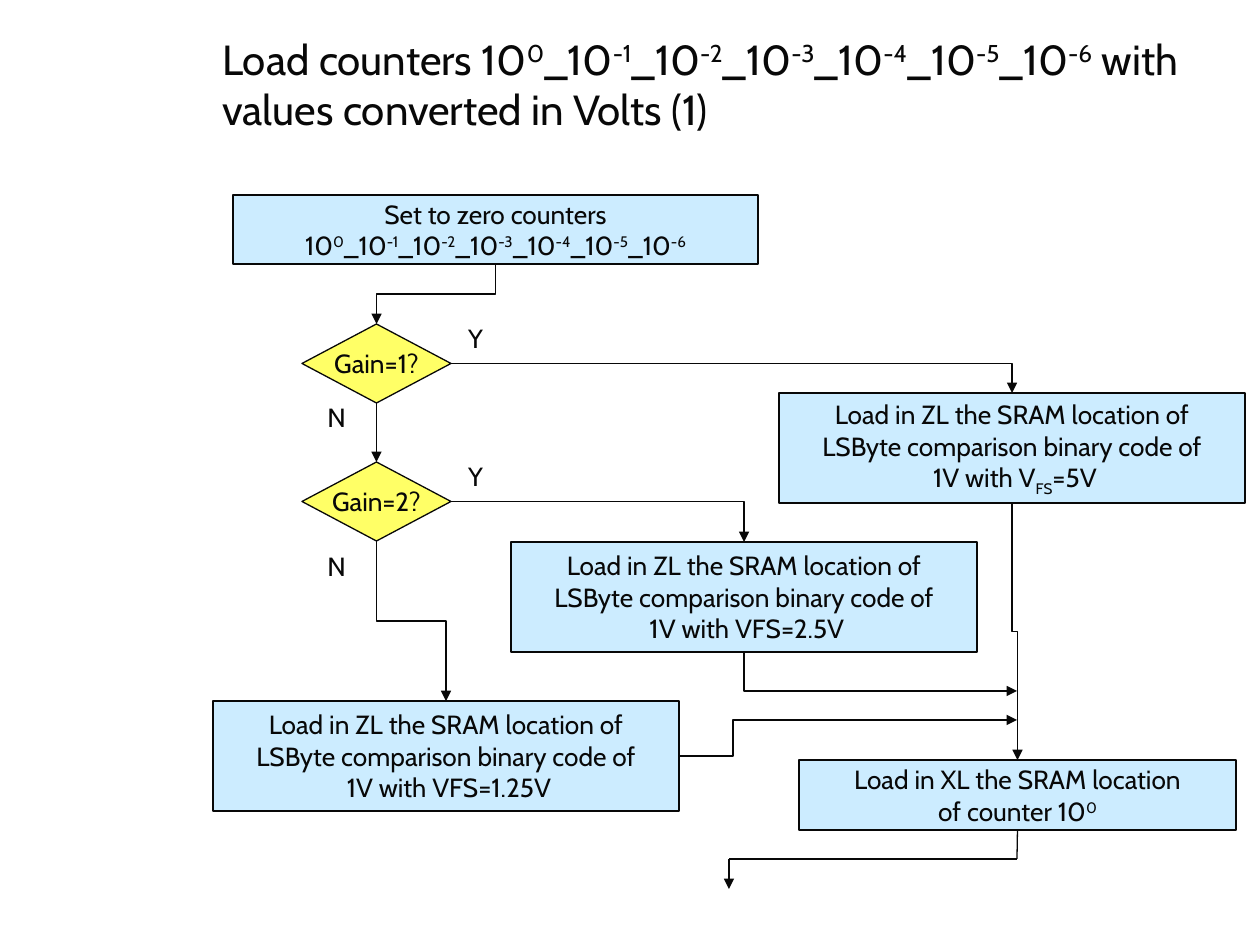
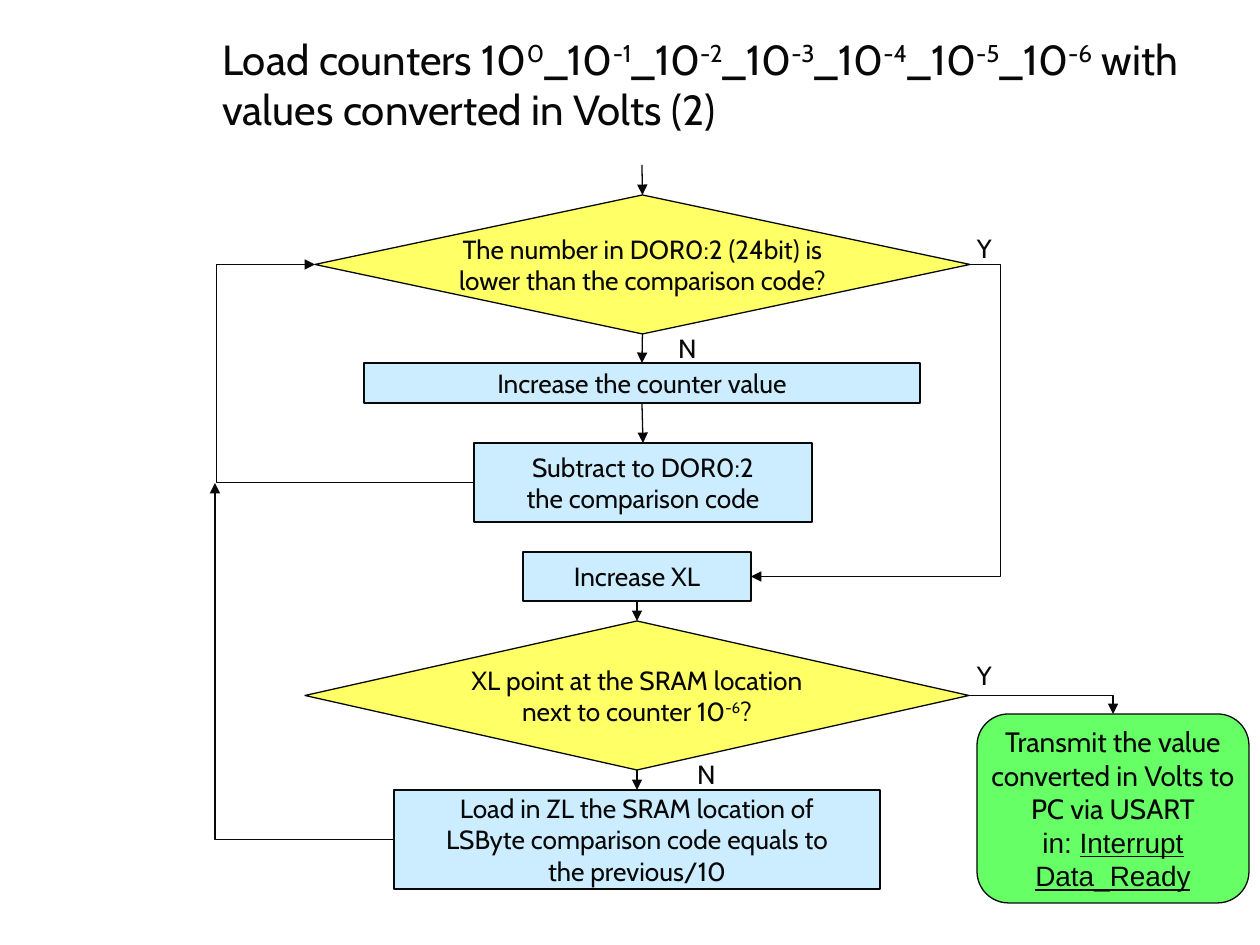
from lxml.etree import SubElement
from pptx import Presentation
from pptx.dml.color import RGBColor
from pptx.enum.shapes import MSO_CONNECTOR, MSO_SHAPE
from pptx.enum.text import MSO_ANCHOR, PP_ALIGN
from pptx.oxml.ns import qn
from pptx.util import Pt

SCALE = 914400 / 126
INK = "080808"
FONT = "Cabin"
POWERS = "10{^0}_10{^-1}_10{^-2}_10{^-3}_10{^-4}_10{^-5}_10{^-6}"
TITLE = "Load counters " + POWERS + " with values converted in Volts (%d)"
TITLE_BOX = (210, 10, 1017, 147)
LABEL = 49
CORNER = "corner"

# Run marks inside braces: ^ raised, ~ lowered, ! Arial, _ Arial underlined
BASE = {"^": "30000", "~": "-25000"}
KINDS = {
    "step": (MSO_SHAPE.FLOWCHART_PROCESS, "CCECFF", 15),
    "test": (MSO_SHAPE.FLOWCHART_DECISION, "FFFF66", 15),
    "exit": (MSO_SHAPE.FLOWCHART_ALTERNATE_PROCESS, "66FF66", 16),
}
# Side number: (share of width, share of height)
TOP, LEFT, BOTTOM, RIGHT = range(4)
SIDES = [(0.5, 0), (0, 0.5), (0.5, 1), (1, 0.5)]

LOAD = "Load in ZL the SRAM location of\nLSByte comparison binary code of\n 1V with "
WIDE = (466, 110)
GAIN = (149, 79)

# nodes: name -> kind, left, top, (width, height), text
# links: start, end, bend (None straight, CORNER, or place of the middle leg), arrow
SLIDES = [
    {
        "nodes": {
            "zero": ("step", 233, 195, (525, 69), "Set to zero counters\n" + POWERS),
            "gain1": ("test", 302, 324, GAIN, "Gain=1?"),
            "gain2": ("test", 302, 462, GAIN, "Gain=2?"),
            "five": ("step", 779, 393, WIDE, LOAD + "V{~FS}=5V"),
            "half": ("step", 511, 542, WIDE, LOAD + "VFS=2.5V"),
            "quart": ("step", 213, 701, WIDE, LOAD + "VFS=1.25V"),
            "count": ("step", 799, 760, (437, 70),
                      "Load in XL the SRAM location\nof counter 10{^0}"),
        },
        "links": [
            (("gain1", BOTTOM), ("gain2", TOP), None, True),
            (("zero", BOTTOM), ("gain1", TOP), 0.5, True),
            (("gain1", RIGHT), ("five", TOP), CORNER, True),
            (("gain2", RIGHT), ("half", TOP), CORNER, True),
            (("gain2", BOTTOM), ("quart", TOP), 0.5, True),
            (("five", BOTTOM), ("count", TOP), 0.5, True),
            (("half", BOTTOM), (1017, 691), CORNER, True),
            (("quart", RIGHT), (1017, 720), 0.16, True),
            (("count", BOTTOM), (1017, 859), None, False),
            ((1017, 859), (729, 859), None, False),
            ((729, 859), (729, 889), None, True),
        ],
        "labels": [("N", 312, 393), ("N", 312, 542), ("Y", 451, 314), ("Y", 451, 452)],
    },
    {
        "nodes": {
            "lower": ("test", 315, 195, (655, 139),
                      "The number in DOR0:2 (24bit) is\nlower than the comparison code?"),
            "add": ("step", 364, 363, (556, 40), "Increase the counter value"),
            "sub": ("step", 474, 443, (338, 79), "Subtract to DOR0:2\nthe comparison code"),
            "next": ("step", 523, 552, (228, 49), "Increase XL"),
            "last": ("test", 305, 621, (664, 149),
                     "XL point at the SRAM location\nnext to counter 10{^-6}?"),
            "prev": ("step", 394, 790, (486, 99),
                     "Load in ZL the SRAM location of\n"
                     "LSByte comparison code equals to\nthe previous/10"),
            "send": ("exit", 977, 714, (272, 189),
                     "Transmit the value\nconverted in Volts to\nPC via USART\n"
                     "{!in: }{_Interrupt}\n{_Data_Ready}"),
        },
        "links": [
            ((642, 165), ("lower", TOP), None, True),
            (("lower", BOTTOM), ("add", TOP), None, True),
            (("add", BOTTOM), ("sub", TOP), None, True),
            (("next", BOTTOM), ("last", TOP), None, True),
            (("last", BOTTOM), ("prev", TOP), None, True),
            (("sub", LEFT), ("lower", LEFT), 1.62, True),
            (("prev", LEFT), (215, 483), CORNER, True),
            (("lower", RIGHT), ("next", RIGHT), -0.14, True),
            (("last", RIGHT), ("send", TOP), CORNER, True),
        ],
        "labels": [("Y", 960, 651), ("N", 663, 324), ("N", 682, 750), ("Y", 960, 224)],
    },
]


def px(value):
    return round(value * SCALE)


def color(code):
    return RGBColor.from_string(code)


def split(line):
    """Yield (mark, text) for each run of a line."""
    head, *rest = line.split("{")
    runs = [("", head)]
    for piece in rest:
        body, tail = piece.split("}")
        runs += [(body[0], body[1:]), ("", tail)]
    return [run for run in runs if run[1]]


def write(shape, text, size=15, align=PP_ALIGN.CENTER, wrap=False):
    frame = shape.text_frame
    frame.word_wrap = wrap
    frame.vertical_anchor = MSO_ANCHOR.MIDDLE
    for num, line in enumerate(text.split("\n")):
        para = frame.add_paragraph() if num else frame.paragraphs[0]
        para.alignment = align
        for mark, words in split(line):
            run = para.add_run()
            run.text = words
            font = run.font
            font.name = "Arial" if mark in ("!", "_") else FONT
            font.size = Pt(size)
            font.color.rgb = color(INK)
            if mark == "_":
                font.underline = True
            if mark in BASE:
                run._r.get_or_add_rPr().set("baseline", BASE[mark])


def text_box(slide, text, box, **form):
    write(slide.shapes.add_textbox(*map(px, box)), text, **form)


def add_node(slide, kind, left, top, size, text):
    form, fill, points = KINDS[kind]
    shape = slide.shapes.add_shape(form, *map(px, (left, top, *size)))
    shape.shadow.inherit = False
    shape.fill.solid()
    shape.fill.fore_color.rgb = color(fill)
    shape.line.color.rgb = color(INK)
    shape.line.width = Pt(0.75)
    write(shape, text, size=points)
    return shape


def place(end, nodes):
    """Return the point of an end in EMU."""
    if end[0] not in nodes:
        return px(end[0]), px(end[1])
    shape = nodes[end[0]]
    across, down = SIDES[end[1]]
    return (round(shape.left + shape.width * across),
            round(shape.top + shape.height * down))


def bend_line(line, start, stop, upright, bend):
    """Shape an elbow; one that leaves vertically is a level one turned by 90 degrees."""
    (x1, y1), (x2, y2) = start, stop
    if upright:
        midx, midy = (x1 + x2) / 2, (y1 + y2) / 2
        wide, high = (y2 - y1) / 2, (x1 - x2) / 2
        x1, y1, x2, y2 = map(round, (midx - wide, midy - high, midx + wide, midy + high))
    line.begin_x, line.begin_y, line.end_x, line.end_y = x1, y1, x2, y2
    line.rotation = 90 if upright else 0
    geom = line._element.spPr.find(qn("a:prstGeom"))
    if bend == CORNER:
        geom.set("prst", "bentConnector2")
    else:
        guide = SubElement(geom.find(qn("a:avLst")), qn("a:gd"))
        guide.set("name", "adj1")
        guide.set("fmla", f"val {round(bend * 100000)}")


def add_link(slide, nodes, start, stop, bend, arrow):
    kind = MSO_CONNECTOR.STRAIGHT if bend is None else MSO_CONNECTOR.ELBOW
    ends = place(start, nodes), place(stop, nodes)
    line = slide.shapes.add_connector(kind, *ends[0], *ends[1])
    line.line.color.rgb = color(INK)
    line.line.width = Pt(0.75)
    for end, join in ((start, line.begin_connect), (stop, line.end_connect)):
        if end[0] in nodes:
            join(nodes[end[0]], end[1])
    if bend is not None:
        bend_line(line, *ends, start[1] in (TOP, BOTTOM), bend)
    if arrow:
        SubElement(line.line._get_or_add_ln(), qn("a:tailEnd")).set("type", "triangle")
    SubElement(line._element.spPr, qn("a:effectLst"))


def main():
    deck = Presentation()
    deck.slide_width, deck.slide_height = px(1260), px(945)
    for num, plan in enumerate(SLIDES, 1):
        slide = deck.slides.add_slide(deck.slide_layouts[6])
        text_box(slide, TITLE % num, TITLE_BOX, size=24, align=PP_ALIGN.LEFT, wrap=True)
        nodes = {name: add_node(slide, *node) for name, node in plan["nodes"].items()}
        for link in plan["links"]:
            add_link(slide, nodes, *link)
        for text, left, top in plan["labels"]:
            text_box(slide, text, (left, top, LABEL, LABEL))
    deck.save("out.pptx")


if __name__ == "__main__":
    main()
